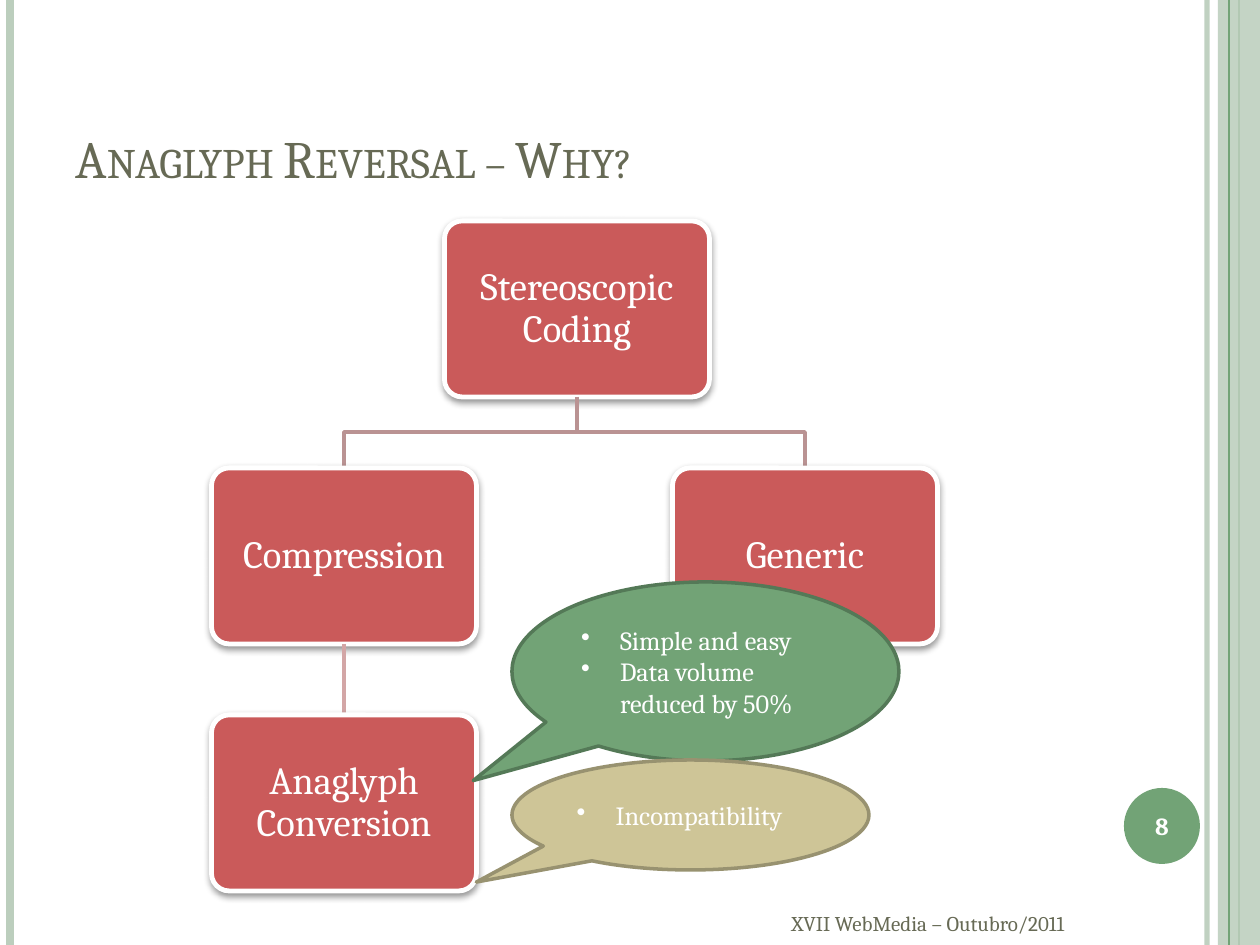
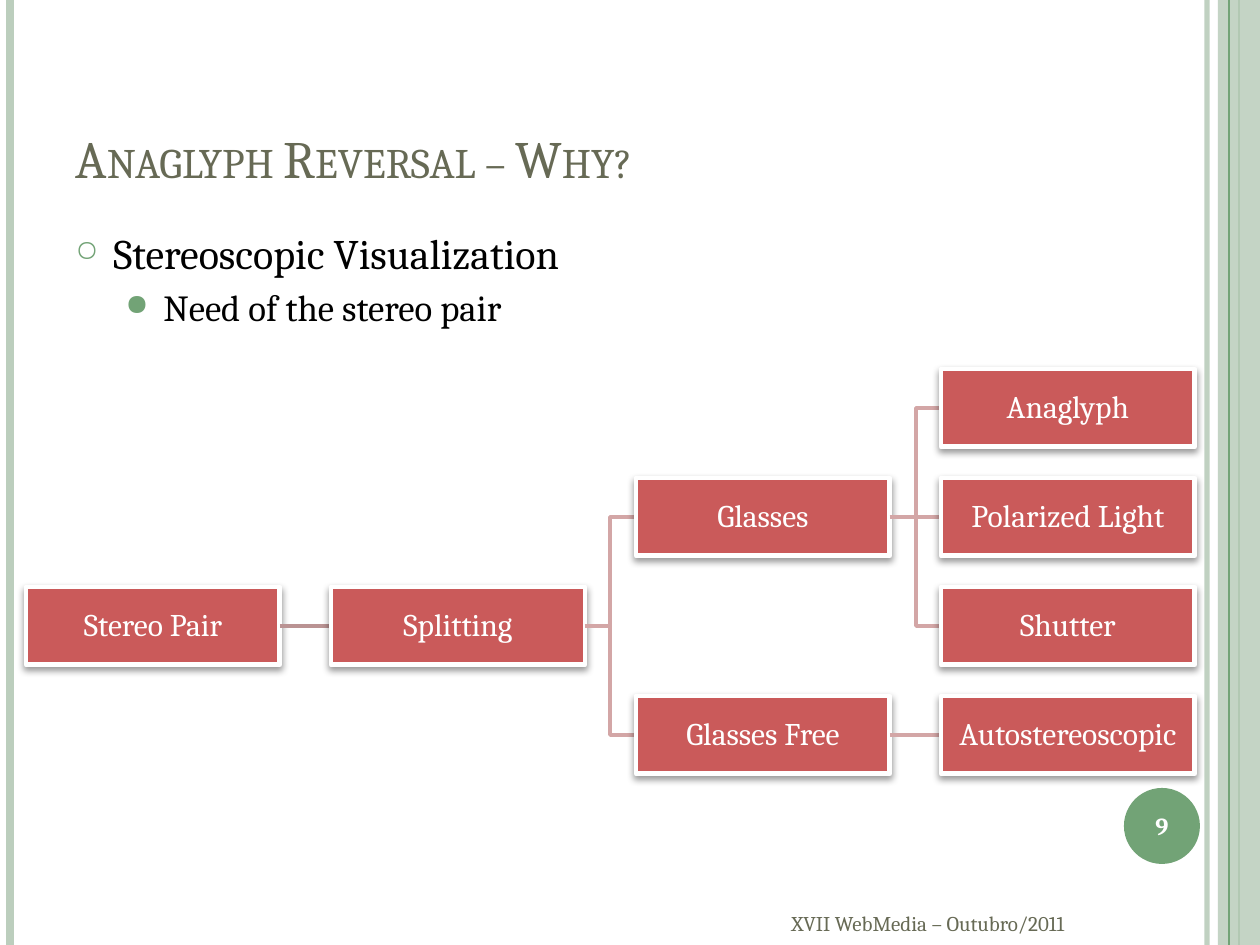
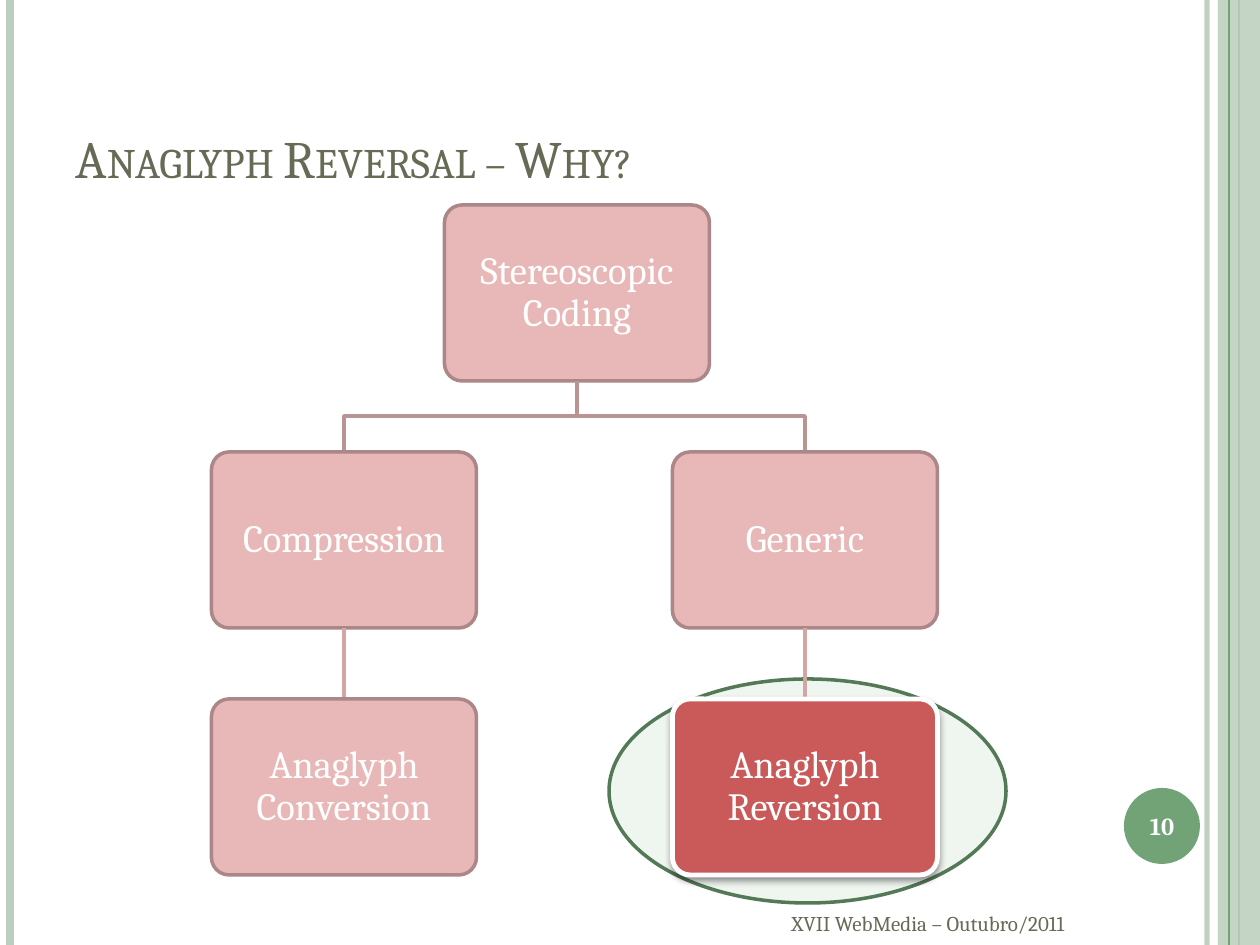
"""Build three slides on why anaglyph reversal matters."""
import dataclasses

import lxml.etree
import pptx
import pptx.dml.color
import pptx.enum.shapes
import pptx.enum.text
import pptx.oxml.ns
import pptx.util

TITLE = "Anaglyph Reversal – Why?"
FOOTER = "XVII WebMedia – Outubro/2011"

CODING_TREE = [
    ("Stereoscopic Coding", None, 1, 0),
    ("Compression", "Stereoscopic Coding", 0, 1),
    ("Anaglyph Conversion", "Compression", 0, 2),
    ("Generic", "Stereoscopic Coding", 2, 1),
]
REVERSION = [("Anaglyph Reversion", "Generic", 2, 2)]
VISUALIZATION_TREE = [
    ("Stereo Pair", None, 0, 2),
    ("Splitting", "Stereo Pair", 1, 2),
    ("Glasses", "Splitting", 2, 1),
    ("Anaglyph", "Glasses", 3, 0),
    ("Polarized Light", "Glasses", 3, 1),
    ("Shutter", "Glasses", 3, 2),
    ("Glasses Free", "Splitting", 2, 3),
    ("Autostereoscopic", "Glasses Free", 3, 3),
]
OUTLINE = [("Stereoscopic Visualization", "topic"), ("Need of the stereo pair", "subtopic")]
CALLOUTS = [
    ((512, 582, 387, 179), "green", "green_edge", ["Simple and easy", "Data volume reduced by 50%"]),
    ((512, 760, 357, 110), "sand", "sand_edge", ["Incompatibility"]),
]
RULES = [(1207, "pale_green", 3, 93), (10, "pale_green", 4.5, 100), (1239, "green", 1.5, 100)]
BAND_RULE = (1229, "green", 0.75, 100)

WIDTH, HEIGHT = 1260, 945
SCALE = 914400 / 126
SHAPE = pptx.enum.shapes.MSO_SHAPE
ANCHOR = pptx.enum.text.MSO_ANCHOR
ALIGN = pptx.enum.text.PP_ALIGN
STRAIGHT = pptx.enum.shapes.MSO_CONNECTOR.STRAIGHT
Pt = pptx.util.Pt
qn = pptx.oxml.ns.qn


@dataclasses.dataclass(frozen=True)
class Theme:
    """Colours and type styles shared by the slides."""
    font = "Cambria"
    colors = {
        "white": "FFFFFF", "black": "000000", "olive": "676A55",
        "green": "72A376", "green_edge": "547957", "pale_green": "BCCEBD", "halo": "EFF5EF",
        "sand": "CEC597", "sand_edge": "989270",
        "red": "CA5A5A", "faded": "E8B7B7", "faded_edge": "AC8787",
        "first_link": "BA9393", "link": "D3A6A6",
    }
    text = {
        "title": (30, "olive", False), "footer": (12, "olive", False), "number": (14, "white", True),
        "tree": (22, "white", False), "chart": (18, "white", False), "callout": (15, "white", False),
        "topic": (24, "black", False), "subtopic": (21, "black", False),
    }
    bullets = {
        "topic": ("○", 38, 38, "green", 70, 6),
        "subtopic": ("●", 88, 38, "green", 80, 4),
        "callout": ("•", 39, 39, "white", 100, 0),
    }


THEME = Theme()
TREE = {"xs": (344, 577, 805), "size": (265, 176), "shape": SHAPE.ROUNDED_RECTANGLE,
        "style": "tree", "inset": 11, "down": True}
CHART = {"xs": [153 + 305 * c for c in range(4)], "ys": [408 + 109 * r for r in range(4)],
         "size": (254, 78), "shape": SHAPE.RECTANGLE, "style": "chart", "inset": 1, "down": False}


def px(n):
    return pptx.util.Emu(round(n * SCALE))


def rgb(name):
    return pptx.dml.color.RGBColor.from_string(THEME.colors[name])


def sub(parent, tag, **attrs):
    return lxml.etree.SubElement(parent, qn(tag), {k: str(v) for k, v in attrs.items()})


def outline(s, color, width):
    s.line.color.rgb = rgb(color)
    s.line.width = Pt(width)


def set_alpha(s, percent):
    for color in s.element.spPr.iter(qn("a:srgbClr")):
        sub(color, "a:alpha", val=percent * 1000)


def add_block(sl, kind, box, fill, edge=None, width=2):
    s = sl.shapes.add_shape(kind, *map(px, box))
    s.shadow.inherit = False
    s.fill.solid()
    s.fill.fore_color.rgb = rgb(fill)
    if edge:
        outline(s, edge, width)
    else:
        s.line.fill.background()
    return s


def add_line(sl, start, end, color, width, alpha=100):
    s = sl.shapes.add_connector(STRAIGHT, *map(px, start + end))
    outline(s, color, width)
    if alpha < 100:
        set_alpha(s, alpha)
    sub(s.element.spPr, "a:effectLst")


def add_bullet(p, style):
    char, margin, hang, color, size, before = THEME.bullets[style]
    p.space_before = Pt(before)
    pPr = p._p.get_or_add_pPr()
    pPr.set("marL", str(px(margin)))
    pPr.set("indent", str(-px(hang)))
    sub(sub(pPr, "a:buClr"), "a:srgbClr", val=THEME.colors[color])
    sub(pPr, "a:buSzPct", val=size * 1000)
    sub(pPr, "a:buChar", char=char)


def write(s, lines, anchor=ANCHOR.MIDDLE, align=ALIGN.LEFT, spacing=None, inset=None):
    tf = s.text_frame
    frame = {"word_wrap": True, "vertical_anchor": anchor}
    if inset is not None:
        frame.update({"margin_" + side: px(inset) for side in ("left", "top", "right", "bottom")})
    for key, value in frame.items():
        setattr(tf, key, value)
    for i, (text, style) in enumerate(lines):
        p = tf.add_paragraph() if i else tf.paragraphs[0]
        p.alignment = align
        p.line_spacing = spacing
        if style in THEME.bullets:
            add_bullet(p, style)
        r = p.add_run()
        r.text = text
        size, color, bold = THEME.text[style]
        for key, value in {"name": THEME.font, "size": Pt(size), "bold": bold}.items():
            setattr(r.font, key, value)
        r.font.color.rgb = rgb(color)
        if style == "title":
            r._r.get_or_add_rPr().set("cap", "small")


def add_text(sl, box, lines, **layout):
    write(sl.shapes.add_textbox(*map(px, box)), lines, **layout)


def add_rule(sl, x, color, width, alpha):
    add_line(sl, (x, 0), (x, HEIGHT), color, width, alpha)


def new_slide(prs, number):
    sl = prs.slides.add_slide(prs.slide_layouts[6])
    for rule in RULES:
        add_rule(sl, *rule)
    set_alpha(add_block(sl, SHAPE.RECTANGLE, (1218, 0, 42, HEIGHT), "pale_green"), 87)
    add_rule(sl, *BAND_RULE)
    add_block(sl, SHAPE.OVAL, (1124, 788, 76, 76), "green")
    add_text(sl, (63, 38, 1029, 157), [(TITLE, "title")], anchor=ANCHOR.BOTTOM)
    add_text(sl, (1120, 790, 84, 72), [(str(number), "number")], align=ALIGN.CENTER)
    add_text(sl, (779, 900, 407, 47), [(FOOTER, "footer")])
    return sl


def add_link(sl, parent, child, size, down, color):
    (x1, y1), (x2, y2), (w, h) = parent, child, size
    if down:
        y1, y2 = y1 + h / 2, y2 - h / 2
        bends = [(x1, (y1 + y2) / 2), (x2, (y1 + y2) / 2)]
    else:
        x1, x2 = x1 + w / 2, x2 - w / 2
        bends = [((x1 + x2) / 2, y1), ((x1 + x2) / 2, y2)]
    if x1 == x2 or y1 == y2:
        add_line(sl, (x1, y1), (x2, y2), color, 2)
        return
    path = sl.shapes.build_freeform(x1, y1, scale=SCALE)
    path.add_line_segments(bends + [(x2, y2)], close=False)
    s = path.convert_to_shape()
    s.shadow.inherit = False
    s.fill.background()
    outline(s, color, 2)


def add_shadow(s):
    effects = s.element.spPr.find(qn("a:effectLst"))
    shadow = sub(effects, "a:outerShdw", blurRad=Pt(4), dist=Pt(2), dir=90 * 60000, rotWithShape=0)
    sub(sub(shadow, "a:srgbClr", val=THEME.colors["black"]), "a:alpha", val=40000)


def add_diagram(sl, nodes, layout, faded=()):
    w, h = layout["size"]
    centers = {}
    for text, parent, col, row in nodes:
        x, y = centers[text] = layout["xs"][col], layout["ys"][row]
        if parent:
            depth = row if layout["down"] else col
            color = "first_link" if depth == 1 else "link"
            add_link(sl, centers[parent], (x, y), (w, h), layout["down"], color)
        look = ("faded", "faded_edge", 2) if text in faded else ("red", "white", 2.75)
        s = add_block(sl, layout["shape"], (x - w / 2, y - h / 2, w, h), *look)
        if layout["down"]:
            s.adjustments[0] = 0.1
        if text not in faded:
            add_shadow(s)
        write(s, [(text, layout["style"])], align=ALIGN.CENTER, spacing=0.9, inset=layout["inset"])


def tree_at(top):
    return {**TREE, "ys": [top + TREE["size"][1] / 2 + 247 * r for r in range(3)]}


def add_why_slide(prs):
    sl = new_slide(prs, 8)
    add_diagram(sl, CODING_TREE, tree_at(221))
    for box, fill, edge, lines in CALLOUTS:
        s = add_block(sl, SHAPE.OVAL_CALLOUT, box, fill, edge)
        s.adjustments[0], s.adjustments[1] = -0.6, 0.61
        write(s, [(line, "callout") for line in lines])


def add_visualization_slide(prs):
    sl = new_slide(prs, 9)
    add_text(sl, (63, 221, 1029, 672), OUTLINE, anchor=ANCHOR.TOP)
    add_diagram(sl, VISUALIZATION_TREE, CHART)


def add_reversion_slide(prs):
    sl = new_slide(prs, 10)
    add_block(sl, SHAPE.OVAL, (609, 679, 397, 224), "halo", "green_edge")
    add_diagram(sl, CODING_TREE + REVERSION, tree_at(205), [node[0] for node in CODING_TREE])


def main():
    prs = pptx.Presentation()
    prs.slide_width, prs.slide_height = px(WIDTH), px(HEIGHT)
    for add_slide in (add_why_slide, add_visualization_slide, add_reversion_slide):
        add_slide(prs)
    prs.save("out.pptx")


if __name__ == "__main__":
    main()
